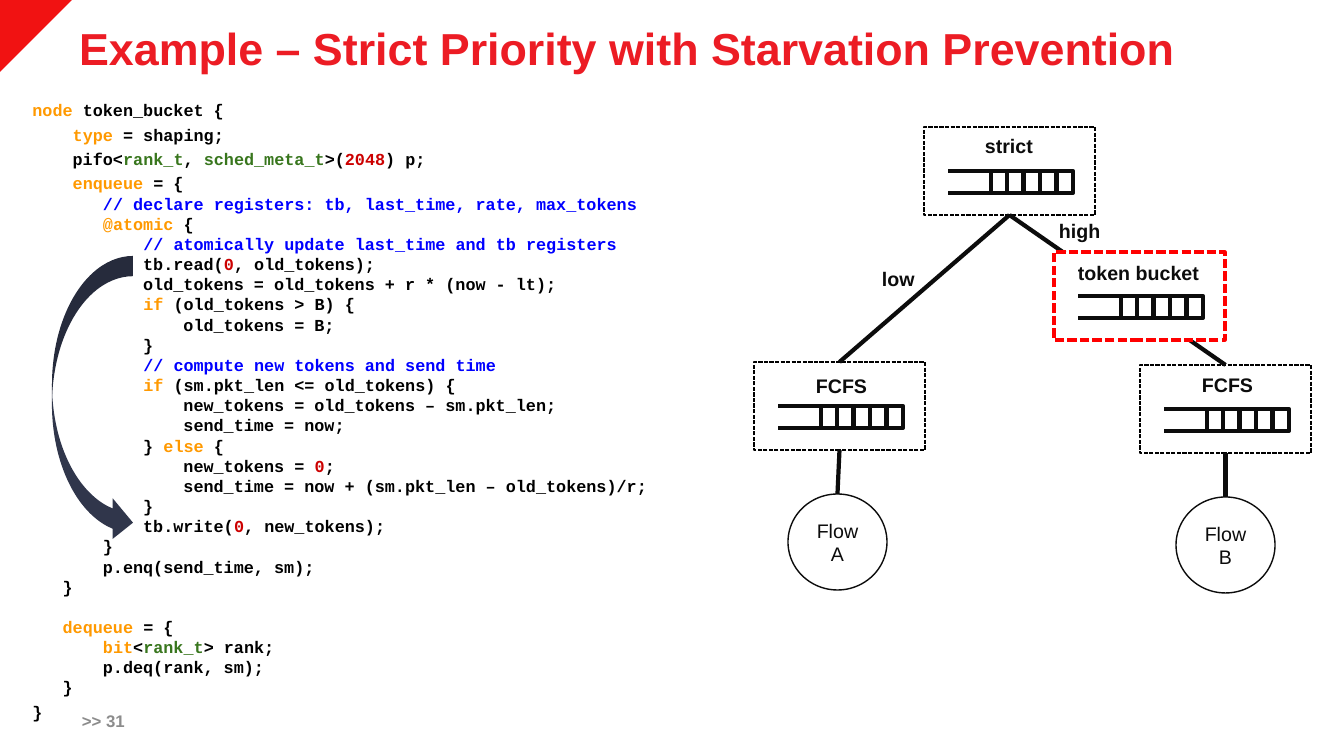
from lxml.etree import SubElement
from pptx import Presentation
from pptx.dml.color import RGBColor
from pptx.enum.dml import MSO_LINE
from pptx.enum.shapes import MSO_CONNECTOR, MSO_SHAPE
from pptx.enum.text import MSO_ANCHOR, MSO_AUTO_SIZE, PP_ALIGN
from pptx.oxml.ns import qn
from pptx.util import Pt

PX = 9071  # EMU in one px
INK = "0C0C0C"
rgb = RGBColor.from_string

deck = Presentation()
deck.slide_width, deck.slide_height = 1344 * PX, 756 * PX
slide = deck.slides.add_slide(deck.slide_layouts[1])
shapes = slide.shapes


def label(text, left, top, width, height, size=14, color=INK):
    box = shapes.add_textbox(left * PX, top * PX, width * PX, height * PX)
    frame = box.text_frame
    frame.text = text
    font = frame.paragraphs[0].font
    font.name, font.size, font.bold = "Arial", Pt(size), True
    font.color.rgb = rgb(color)
    return frame


def line(x1, y1, x2, y2):
    rule = shapes.add_connector(
        MSO_CONNECTOR.STRAIGHT, x1 * PX, y1 * PX, x2 * PX, y2 * PX)
    rule.line.color.rgb = rgb(INK)
    rule.line.width = Pt(3)
    SubElement(rule._element.spPr, qn("a:effectLst"))
    return rule


# Corner and title
pen = shapes.build_freeform(0, 0, scale=PX)
pen.add_line_segments([(72, 0), (0, 72)])
corner = pen.convert_to_shape()
corner.shadow.inherit = False
corner.fill.solid()
corner.fill.fore_color.rgb = rgb("F11212")
corner.line.fill.background()

title = shapes.title
title.left, title.top, title.width, title.height = 69 * PX, 23 * PX, 1162 * PX, 55 * PX
frame = title.text_frame
frame.text = "Example – Strict Priority with Starvation Prevention"
frame.auto_size = MSO_AUTO_SIZE.NONE
frame.vertical_anchor = MSO_ANCHOR.MIDDLE
para = frame.paragraphs[0]
para.alignment = PP_ALIGN.LEFT
para.line_spacing = 0.9
para.font.name, para.font.size, para.font.bold = "Arial", Pt(32), True
para.font.color.rgb = rgb("EC1C24")

# Code: every second part between bars opens with its colour key
hues = {"k": "FF9900", "t": "38761D", "n": "CC0000", "c": "0000FF"}
code = [
    "    |knode| token_bucket {",
    "        |ktype| = shaping;",
    "        pifo<|trank_t|, |tsched_meta_t|>(|n2048|) p;",
    "        |kenqueue| = {",
    "           |c// declare registers: tb, last_time, rate, max_tokens|",
    "           |k@atomic| {",
    "               |c// atomically update last_time and tb registers|",
    "               tb.read(|n0|, old_tokens);",
    "               old_tokens = old_tokens + r * (now - lt);",
    "               |kif| (old_tokens > B) {",
    "                   old_tokens = B;",
    "               }",
    "               |c// compute new tokens and send time|",
    "               |kif| (sm.pkt_len <= old_tokens) {",
    "                   new_tokens = old_tokens – sm.pkt_len;",
    "                   send_time = now;",
    "               } |kelse| {",
    "                   new_tokens = |n0|;",
    "                   send_time = now + (sm.pkt_len – old_tokens)/r;",
    "               }",
    "               tb.write(|n0|, new_tokens);",
    "           }",
    "           p.enq(send_time, sm);",
    "       }",
    "       |kdequeue| = {",
    "           |kbit|<|trank_t|> rank;",
    "           p.deq(rank, sm);",
    "       }",
    "    }",
]
gaps = {1: 3, 2: 3, 3: 3, 24: 14.4, 28: 3}  # points before a row

body = slide.placeholders[1]
body.left, body.top, body.width, body.height = -18 * PX, 95 * PX, 726 * PX, 646 * PX
frame = body.text_frame
frame.auto_size = MSO_AUTO_SIZE.NONE
for row, source in enumerate(code):
    para = frame.add_paragraph() if row else frame.paragraphs[0]
    props = para._p.get_or_add_pPr()
    props.set("marL", "0")
    props.set("indent", "0")
    SubElement(props, qn("a:buNone"))
    para.line_spacing = Pt(14.4)
    para.space_before = Pt(gaps.get(row, 0))
    para.font.name, para.font.size, para.font.bold = "Courier New", Pt(12), True
    for spot, part in enumerate(source.split("|")):
        if part:
            run = para.add_run()
            run.text = part[1:] if spot % 2 else part
            run.font.color.rgb = rgb(hues[part[0]] if spot % 2 else "000000")

page = label(">> 31", 72, 701, 100, 40, 12, "8C8C8C")
page.vertical_anchor = MSO_ANCHOR.MIDDLE

# Scheduler tree: name, frame left and top, label left, top and width, has parent
nodes = [
    ("strict", 924, 127, 975, 129, 69, False),
    ("FCFS", 754, 362, 806, 369, 72, True),
    ("FCFS", 1140, 365, 1192, 368, 72, True),
    ("token bucket", 1054, 252, 1068, 256, 142, False),
]
frames = []
for name, left, top, tag_left, tag_top, tag_width, child in nodes:
    node = shapes.add_shape(MSO_SHAPE.RECTANGLE, left * PX, top * PX, 171 * PX, 88 * PX)
    node.shadow.inherit = False
    node.line.dash_style = MSO_LINE.SQUARE_DOT
    if name == "token bucket":
        node.fill.solid()
        node.fill.fore_color.rgb = rgb("FFFFFF")
        node.line.color.rgb = rgb("FF0000")
        node.line.width = Pt(2.25)
    else:
        node.fill.background()
        node.line.color.rgb = rgb("000000")
        node.line.width = Pt(1)
    frames.append(node)
    if child:
        edge = line(0, 0, 0, 0)
        edge.begin_connect(frames[0], 2)
        edge.end_connect(node, 0)

    for slot in range(5):
        cell = shapes.add_shape(
            MSO_SHAPE.RECTANGLE, (left + 67 + slot * 33 // 2) * PX, (top + 44) * PX,
            16 * PX, 22 * PX)
        cell.shadow.inherit = False
        cell.fill.background()
        cell.line.color.rgb = rgb(INK)
        cell.line.width = Pt(3)
    for rail in (top + 44, top + 66):
        line(left + 67, rail, left + 24, rail)
    label(name, tag_left, tag_top, tag_width, 34)

label("high", 1049, 214, 62, 34)
label("low", 872, 262, 53, 34)

# Flows
for name, left, top, node in [("Flow A", 788, 494, frames[1]),
                              ("Flow B", 1176, 497, frames[2])]:
    flow = shapes.add_shape(MSO_SHAPE.OVAL, left * PX, top * PX, 99 * PX, 96 * PX)
    flow.shadow.inherit = False
    flow.fill.background()
    flow.line.color.rgb = rgb(INK)
    flow.line.width = Pt(1)
    frame = flow.text_frame
    frame.text = name
    frame.word_wrap = True
    frame.vertical_anchor = MSO_ANCHOR.MIDDLE
    para = frame.paragraphs[0]
    para.alignment = PP_ALIGN.CENTER
    para.font.name, para.font.size = "Arial", Pt(14)
    para.font.color.rgb = rgb(INK)
    edge = line(0, 0, 0, 0)
    edge.begin_connect(node, 2)
    edge.end_connect(flow, 0)

arrow = shapes.add_shape(
    MSO_SHAPE.CURVED_RIGHT_ARROW, 52 * PX, 256 * PX, 81 * PX, 287 * PX)
arrow.shadow.inherit = False
arrow.fill.solid()
arrow.fill.fore_color.rgb = rgb("30364B")
arrow.line.fill.background()

deck.save("out.pptx")
